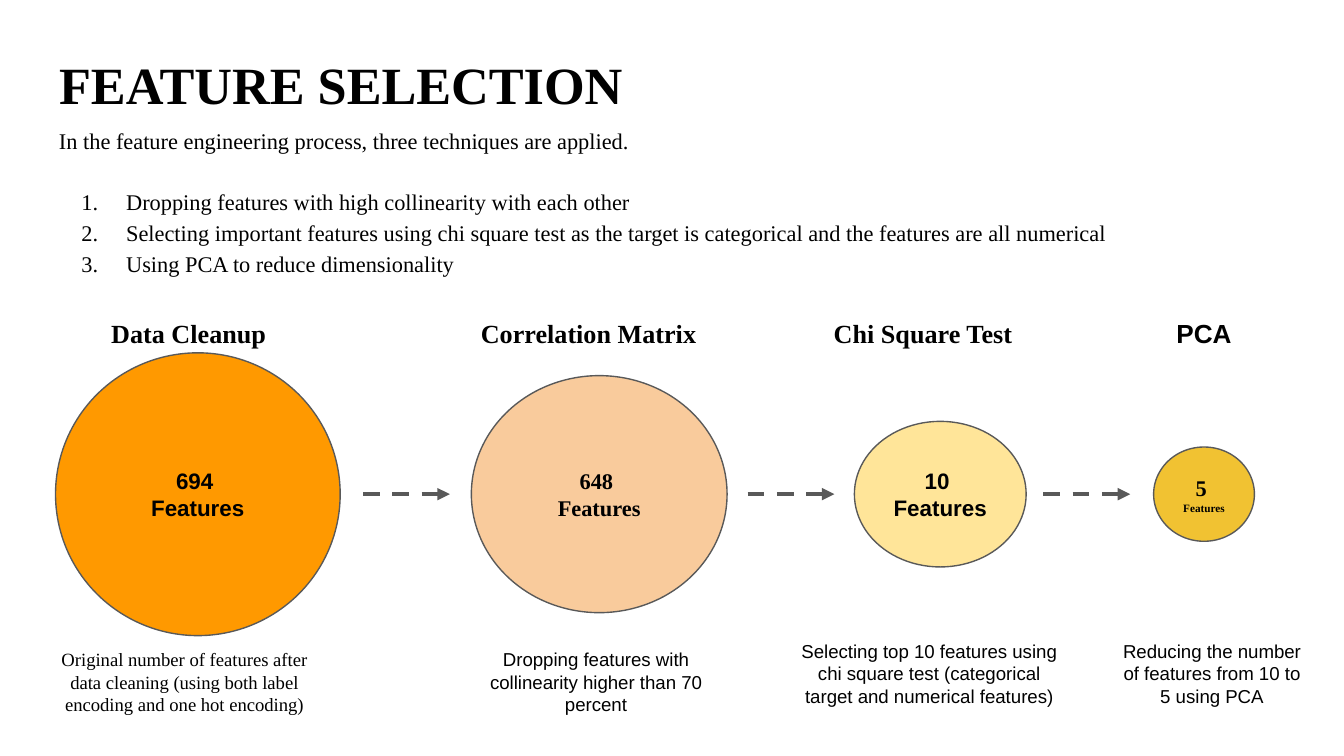
import pptx
import pptx.dml.color
import pptx.enum.dml
import pptx.enum.shapes
import pptx.enum.text
import pptx.oxml
import pptx.oxml.ns
import pptx.util

Pt = pptx.util.Pt
Align = pptx.enum.text.PP_ALIGN
Anchor = pptx.enum.text.MSO_ANCHOR
SERIF = "Times New Roman"
SANS = "Arial"


def color(value):
    return pptx.dml.color.RGBColor.from_string(value)


def append_xml(parent, tag, **attributes):
    element = pptx.oxml.parse_xml(f"<{tag} {pptx.oxml.ns.nsdecls('a')}/>")
    for name, value in attributes.items():
        element.set(name, value)
    parent.append(element)


class SlideBuilder:
    ink = "000000"
    outline = "595959"
    inset = 7.2

    def __init__(self, slide):
        self.slide = slide

    def fill_text(self, shape, text, font, sizes, bold=False, align=Align.LEFT, anchor=Anchor.TOP):
        frame = shape.text_frame
        frame.text = text
        frame.word_wrap = True
        frame.auto_size = pptx.enum.text.MSO_AUTO_SIZE.NONE
        frame.vertical_anchor = anchor
        frame.margin_left = frame.margin_right = Pt(self.inset)
        frame.margin_top = frame.margin_bottom = Pt(self.inset)
        for index, para in enumerate(frame.paragraphs):
            para.alignment = align
            for span in para.runs:
                span.font.name = font
                span.font.size = Pt(sizes[min(index, len(sizes) - 1)])
                span.font.bold = bold
                span.font.color.rgb = color(self.ink)
        return frame

    def title(self, text, left, top, width, height):
        box = self.slide.shapes.title
        box.left, box.top, box.width, box.height = map(Pt, (left, top, width, height))
        self.fill_text(box, text, SERIF, [28], bold=True)

    def text(self, text, left, top, width, height, font, size, **style):
        box = self.slide.shapes.add_textbox(Pt(left), Pt(top), Pt(width), Pt(height))
        return self.fill_text(box, text, font, [size], **style)

    def numbered_text(self, intro, items, left, top, width, height):
        frame = self.text("\n".join([intro, *items]), left, top, width, height, SERIF, 12)
        for index, para in enumerate(frame.paragraphs):
            para.line_spacing = 1.15
            para.space_before = Pt(16 if index == 1 else 0)
            if index:
                properties = para._p.get_or_add_pPr()
                properties.set("marL", str(Pt(36)))
                properties.set("indent", str(Pt(-24)))
                append_xml(properties, "a:buFont", typeface=SERIF)
                append_xml(properties, "a:buAutoNum", type="arabicPeriod")

    def circle(self, text, center_x, center_y, width, height, fill, font, sizes):
        shape = self.slide.shapes.add_shape(
            pptx.enum.shapes.MSO_SHAPE.OVAL,
            Pt(center_x - width / 2), Pt(center_y - height / 2), Pt(width), Pt(height))
        shape.shadow.inherit = False
        shape.fill.solid()
        shape.fill.fore_color.rgb = color(fill)
        shape.line.color.rgb = color(self.outline)
        shape.line.width = Pt(0.75)
        self.fill_text(shape, text, font, sizes, bold=True, align=Align.CENTER, anchor=Anchor.MIDDLE)

    def arrow(self, left, y, length):
        line = self.slide.shapes.add_connector(
            pptx.enum.shapes.MSO_CONNECTOR.STRAIGHT, Pt(left), Pt(y), Pt(left + length), Pt(y))
        line.line.color.rgb = color(self.outline)
        line.line.width = Pt(2.25)
        line.line.dash_style = pptx.enum.dml.MSO_LINE.DASH
        append_xml(line.line._get_or_add_ln(), "a:tailEnd", type="triangle")
        append_xml(line._element.spPr, "a:effectLst")


def main():
    deck = pptx.Presentation()
    deck.slide_width, deck.slide_height = Pt(720), Pt(405)
    page = SlideBuilder(deck.slides.add_slide(deck.slide_layouts[5]))

    page.title("FEATURE SELECTION", 24.5, 21, 671, 45.5)
    page.numbered_text(
        "In the feature engineering process, three techniques are applied.",
        ["Dropping features with high collinearity with each other",
         "Selecting important features using chi square test as the target is categorical "
         "and the features are all numerical",
         "Using PCA to reduce dimensionality"],
        24.5, 59, 671, 104.5)

    middle = 264.75
    circles = [
        ("694", 106, 152.5, 151.5, "FF9900", SANS, [12]),
        ("648", 321, 137, 127, "F9CB9C", SERIF, [12]),
        ("10", 503.75, 92, 78, "FFE599", SANS, [12]),
        ("5", 645, 54, 50.5, "F1C232", SERIF, [12, 6]),
    ]
    for count, center, width, height, fill, font, sizes in circles:
        page.circle(f"{count} \nFeatures", center, middle, width, height, fill, font, sizes)

    headings = [
        ("Data Cleanup", 52.5, 107, SERIF, Align.LEFT),
        ("Correlation Matrix", 250.5, 137, SERIF, Align.LEFT),
        ("Chi Square Test", 439.5, 129, SERIF, Align.LEFT),
        ("PCA", 580.5, 129, SANS, Align.CENTER),
    ]
    for text, left, width, font, align in headings:
        page.text(text, left, 163, width, 26.5, font, 14, bold=True, align=align)

    captions = [
        ("Original number of features after data cleaning "
         "(using both label encoding and one hot encoding)", 24.5, 340, 148.5, 60, SERIF),
        ("Dropping features with collinearity higher than 70 percent", 245, 340, 148.5, 50, SANS),
        ("Selecting top 10 features using chi square test "
         "(categorical target and numerical features)", 419, 335.5, 157.5, 60, SANS),
        ("Reducing the number of features from 10 to 5 using PCA", 592, 335.5, 114.5, 50, SANS),
    ]
    for text, left, top, width, height, font in captions:
        page.text(text, left, top, width, height, font, 10, align=Align.CENTER)

    for left in (194.5, 400.5, 559):
        page.arrow(left, middle, 46.5)

    deck.save("out.pptx")


if __name__ == "__main__":
    main()
